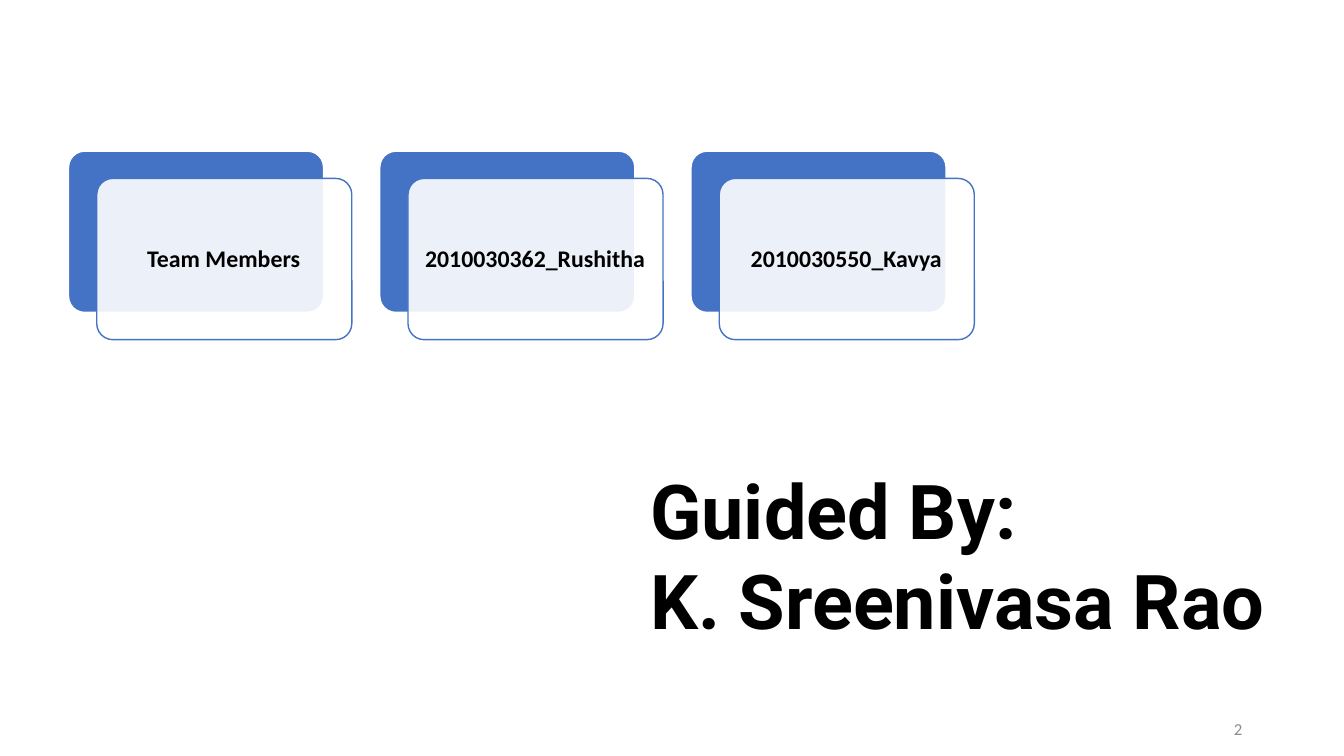
"""Build the team members slide."""
from dataclasses import dataclass

from lxml import etree
from pptx import Presentation
from pptx import util as u
from pptx.dml.color import RGBColor
from pptx.enum import shapes, text
from pptx.oxml.ns import qn

GRID = u.Inches(0.1)
COLORS = {"blue": "4472C4", "white": "FFFFFF", "black": "000000", "gray": "8C8C8C"}
CARD_LABELS = ["Team Members", "2010030362_Rushitha", "2010030550_Kavya"]
CARD_PITCH = 30.87


@dataclass(frozen=True)
class Area:
    """A rectangle in grid columns and rows."""

    left: float
    top: float
    width: float
    height: float

    def shifted(self, columns: float) -> "Area":
        """Return the same rectangle moved to the right."""
        return Area(self.left + columns, self.top, self.width, self.height)

    def lengths(self) -> list[int]:
        """Return left, top, width and height as slide lengths."""
        return [round(n * GRID) for n in (self.left, self.top, self.width, self.height)]


CARD_BACK = Area(6.8, 15, 25.3, 16)
CARD_FRONT = Area(9.6, 17.7, 25.3, 16)
CARD_TEXT = Area(10.05, 18.2, 24.3, 15.1)
PAGE_NUMBER = Area(94.2, 70.3, 30, 4)
GUIDE = Area(63.5, 45.5, 68.3, 19.2)


def rgb(name: str) -> RGBColor:
    """Look up a named colour."""
    return RGBColor.from_string(COLORS[name])


def add_panel(parent, area: Area, fill: str, line: str, opacity: int = 100) -> None:
    """Draw one rounded rectangle."""
    panel = parent.add_shape(shapes.MSO_SHAPE.ROUNDED_RECTANGLE, *area.lengths())
    panel.adjustments[0] = 0.1
    panel.shadow.inherit = False
    panel.fill.solid()
    panel.fill.fore_color.rgb = rgb(fill)
    panel.line.color.rgb = rgb(line)
    panel.line.width = u.Pt(1)
    if opacity < 100:
        color = panel.fill._xPr.find(qn("a:solidFill"))[0]
        etree.SubElement(color, qn("a:alpha"), val=str(opacity * 1000))


def add_text(parent, area: Area, lines: list[str], *, size: float, font: str = "Calibri",
             color: str = "black", bold: bool = False, align=text.PP_ALIGN.LEFT,
             anchor=text.MSO_ANCHOR.MIDDLE, inset: float | None = None,
             spacing: float = 1.0, after: float = 0, grow: bool = False) -> None:
    """Add a text box with one paragraph for each line."""
    frame = parent.add_textbox(*area.lengths()).text_frame
    frame.word_wrap = True
    frame.vertical_anchor = anchor
    frame.auto_size = (text.MSO_AUTO_SIZE.SHAPE_TO_FIT_TEXT if grow
                       else text.MSO_AUTO_SIZE.NONE)
    if inset is not None:
        frame.margin_left = frame.margin_right = u.Inches(inset)
        frame.margin_top = frame.margin_bottom = u.Inches(inset)
    for index, line in enumerate(lines):
        para = frame.add_paragraph() if index else frame.paragraphs[0]
        para.alignment = align
        para.line_spacing = spacing
        para.space_after = u.Pt(after)
        span = para.add_run()
        span.text = line
        span.font.name = font
        span.font.size = u.Pt(size)
        span.font.bold = bold
        span.font.color.rgb = rgb(color)


def add_card(parent, label: str, shift: float) -> None:
    """Draw a blue panel, its translucent overlay and the label."""
    add_panel(parent, CARD_BACK.shifted(shift), "blue", "white")
    add_panel(parent, CARD_FRONT.shifted(shift), "white", "blue", opacity=90)
    add_text(parent, CARD_TEXT.shifted(shift), [label], size=17, bold=True,
             align=text.PP_ALIGN.CENTER, inset=0.07, spacing=0.9, after=6)


def main() -> None:
    """Build and save the deck."""
    deck = Presentation()
    deck.slide_width, deck.slide_height = u.Inches(13.33), u.Inches(7.5)
    page = deck.slides.add_slide(deck.slide_layouts[6])
    cards = page.shapes.add_group_shape()
    for index, label in enumerate(CARD_LABELS):
        add_card(cards.shapes, label, index * CARD_PITCH)
    add_text(page.shapes, PAGE_NUMBER, ["2"], size=12, color="gray",
             align=text.PP_ALIGN.RIGHT)
    add_text(page.shapes, GUIDE, ["Guided By:", "K. Sreenivasa Rao"], size=54,
             font="Roboto", bold=True, anchor=text.MSO_ANCHOR.TOP, grow=True)
    deck.save("out.pptx")


if __name__ == "__main__":
    main()
